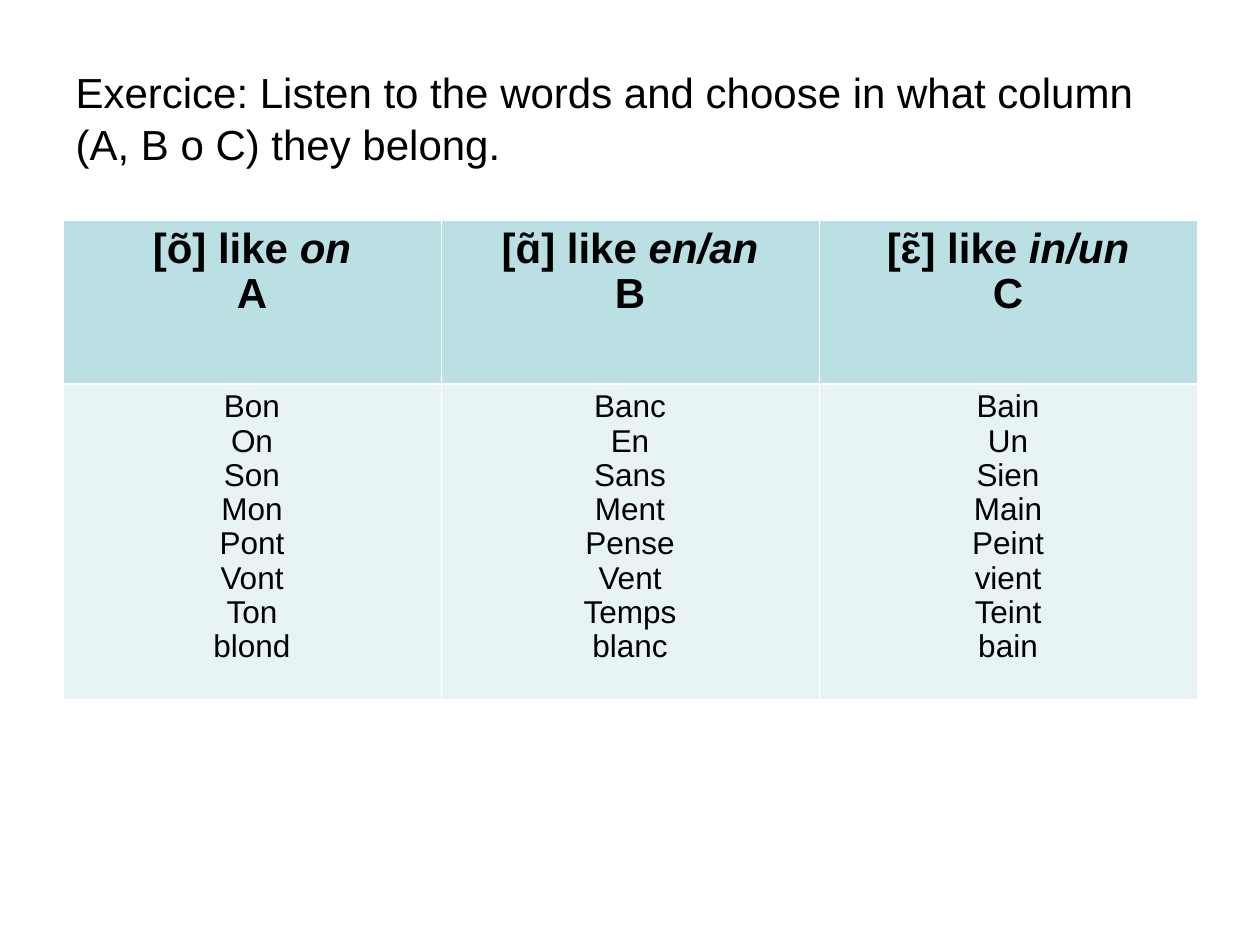
from dataclasses import dataclass

from lxml.etree import SubElement as Sub
from pptx import Presentation as Deck
from pptx.dml.color import RGBColor as RGB
from pptx.enum.text import MSO_ANCHOR as Anchor, PP_ALIGN as Align
from pptx.oxml.ns import qn
from pptx.util import Pt


@dataclass(frozen=True)
class Theme:
    font: str = "Arial"
    ink: str = "000000"
    head: str = "BBE0E3"
    body: str = "E7F3F4"
    rule: str = "FFFFFF"
    large: int = 24
    small: int = 18
    thin: float = 0.45
    thick: float = 1.47


TITLE = "Exercice: Listen to the words and choose in what column (A, B o C) they belong."
COLS = [
    ("[õ] like ", "on", "A", "Bon On Son Mon Pont Vont Ton blond"),
    ("[ɑ̃] like ", "en/an", "B", "Banc En Sans Ment Pense Vent Temps blanc"),
    ("[ɛ̃] like ", "in/un", "C", "Bain Un Sien Main Peint vient Teint bain"),
]


class Page:
    def __init__(self, deck, theme):
        self.theme = theme
        self.slide = deck.slides.add_slide(deck.slide_layouts[5])

    def style(self, font, size, **more):
        form = {"name": self.theme.font, "size": Pt(size), **more}
        for key, val in form.items():
            setattr(font, key, val)
        font.color.rgb = RGB.from_string(self.theme.ink)

    def title(self, text, left, top, wide, high):
        box = self.slide.shapes.title
        place = {"left": left, "top": top, "width": wide, "height": high}
        for key, val in place.items():
            setattr(box, key, Pt(val))
        frame = box.text_frame
        frame.word_wrap = True
        frame.vertical_anchor = Anchor.MIDDLE
        frame.text = text
        para = frame.paragraphs[0]
        para.alignment = Align.LEFT
        para.line_spacing = 1.03
        self.style(para.runs[0].font, self.theme.large)

    def edge(self, cell, side, width):
        line = Sub(cell._tc.get_or_add_tcPr(), qn(f"a:ln{side}"), w=str(Pt(width)))
        Sub(Sub(line, qn("a:solidFill")), qn("a:srgbClr"), val=self.theme.rule)

    def cell(self, cell, lines, head):
        """Fill a cell; each line is a list of (text, italic) pairs."""
        look = self.theme
        inner = "B" if head else "T"
        for side in "LRTB":
            self.edge(cell, side, look.thick if side == inner else look.thin)
        cell.fill.solid()
        cell.fill.fore_color.rgb = RGB.from_string(look.head if head else look.body)
        frame = cell.text_frame
        for num, line in enumerate(lines):
            para = frame.add_paragraph() if num else frame.paragraphs[0]
            para.alignment = Align.CENTER
            para.line_spacing = 0.97
            for text, slant in line:
                run = para.add_run()
                run.text = text
                size = look.large if head else look.small
                self.style(run.font, size, bold=head, italic=slant)

    def table(self, cols, left, top, wide, highs):
        box = Pt(left), Pt(top), Pt(wide), Pt(sum(highs))
        grid = self.slide.shapes.add_table(len(highs), len(cols), *box).table
        for row, high in zip(grid.rows, highs):
            row.height = Pt(high)
        for num, (sound, model, mark, words) in enumerate(cols):
            top_lines = [[(sound, False), (model, True)], [(mark, False)]]
            self.cell(grid.cell(0, num), top_lines, True)
            self.cell(grid.cell(1, num), [[(word, False)] for word in words.split()], False)


def main():
    deck = Deck()
    deck.slide_width, deck.slide_height = Pt(720), Pt(540)
    page = Page(deck, Theme())
    page.title(TITLE, 36, 21.6, 648, 90)
    page.table(COLS, 36, 126, 648, [93.6, 180])
    deck.save("out.pptx")


if __name__ == "__main__":
    main()
